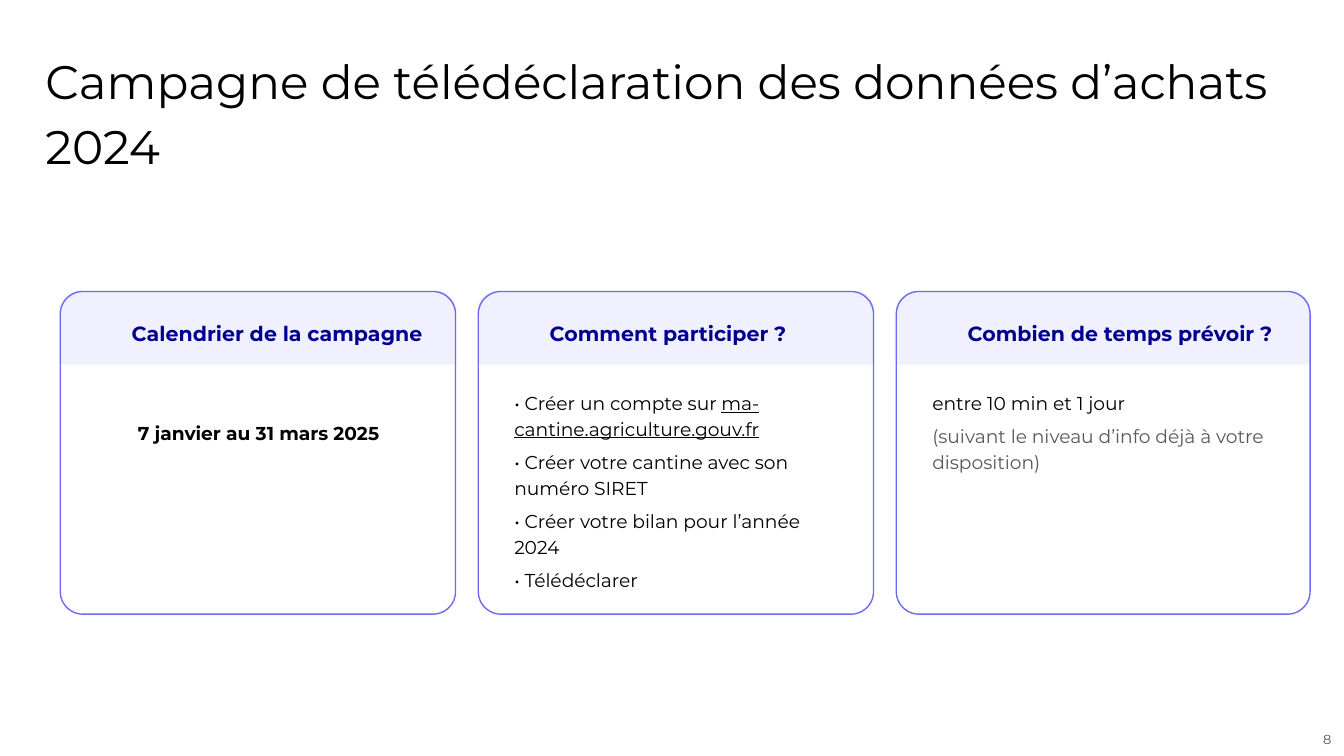
from pptx import Presentation
from pptx.dml.color import RGBColor
from pptx.enum.shapes import MSO_SHAPE
from pptx.enum.text import MSO_ANCHOR, PP_ALIGN
from pptx.util import Cm, Pt

ROUND, ROUND_TOP = MSO_SHAPE.ROUNDED_RECTANGLE, MSO_SHAPE.ROUND_2_SAME_RECTANGLE
TOP, MIDDLE = MSO_ANCHOR.TOP, MSO_ANCHOR.MIDDLE
LEFT, CENTER = PP_ALIGN.LEFT, PP_ALIGN.CENTER
BLACK, GREY, NAVY, VIOLET, LILAC = "000000", "595959", "000090", "6A6AF3", "F0F0FF"

CARD_LEFT, CARD_TOP, CARD_HEIGHT, GAP = 1.14, 5.51, 6.1, 0.43
BAND_HEIGHT = 1.37


def rgb(color):
    return RGBColor.from_string(color)


def add_text(box, paragraphs, size, color=BLACK, bold=False, align=LEFT,
             anchor=TOP, inset=0.25, spacing=1.15):
    """Add a text box at box (left, top, width, height in cm), one string per paragraph."""
    tf = s.shapes.add_textbox(*map(Cm, box)).text_frame
    tf.word_wrap = True
    tf.vertical_anchor = anchor
    tf.margin_left = tf.margin_right = tf.margin_top = tf.margin_bottom = Cm(inset)
    tf.text = "\n".join(paragraphs)
    for i, p in enumerate(tf.paragraphs):
        p.alignment = align
        p.line_spacing = spacing
        if i:
            p.space_before = Pt(4)
        for r in p.runs:
            r.font.name = "Montserrat"
            r.font.size = Pt(size)
            r.font.bold = bold
            r.font.color.rgb = rgb(color)
    return tf


prs = Presentation()
prs.slide_width, prs.slide_height = Cm(25.4), Cm(14.29)
s = prs.slides.add_slide(prs.slide_layouts[6])

add_text((0.61, 0.58, 24.16, 2.24),
         ["Campagne de télédéclaration des données d’achats 2024"], 25.2)

# Cards: heading, card width, heading width, corner of the heading band
cards = [
    ("Calendrier de la campagne", 7.47, 6.07, 0.26),
    ("Comment participer ?", 7.47, 5.87, 0.26),
    ("Combien de temps prévoir ?", 7.82, 6.99, 0.29),
]
left = CARD_LEFT
for heading, width, heading_width, corner in cards:
    band = s.shapes.add_shape(ROUND_TOP, Cm(left), Cm(CARD_TOP), Cm(width), Cm(BAND_HEIGHT))
    band.adjustments[0] = corner
    band.fill.solid()
    band.fill.fore_color.rgb = rgb(LILAC)
    frame = s.shapes.add_shape(ROUND, Cm(left), Cm(CARD_TOP), Cm(width), Cm(CARD_HEIGHT))
    frame.adjustments[0] = 0.07
    frame.fill.background()
    for sp, color in ((band, LILAC), (frame, VIOLET)):
        sp.shadow.inherit = False
        sp.line.color.rgb = rgb(color)
        sp.line.width = Pt(0.75)
    add_text((left + 1.1, 5.79, heading_width, 0.94), [heading], 11, NAVY,
             bold=True, anchor=MIDDLE)
    left += width + GAP

add_text((2.18, 7.67, 5.41, 0.94), ["7 janvier au 31 mars 2025"], 10, bold=True, align=CENTER)

steps = add_text((9.47, 7.09, 6.55, 4.32), [
    "• Créer un compte sur ",
    "• Créer votre cantine avec son numéro SIRET",
    "• Créer votre bilan pour l’année 2024",
    "• Télédéclarer",
], 10)
r = steps.paragraphs[0].add_run()
r.text = "ma-cantine.agriculture.gouv.fr"
r.font.name = "Montserrat"
r.font.size = Pt(10)
r.font.color.rgb = rgb(BLACK)
r.font.underline = True

duration = add_text((17.37, 7.09, 6.81, 2.06), [
    "entre 10 min et 1 jour",
    "(suivant le niveau d’info déjà à votre disposition)",
], 10)
duration.paragraphs[1].runs[0].font.color.rgb = rgb(GREY)

add_text((24.77, 13.69, 0.63, 0.58), ["8"], 7, GREY, align=CENTER, anchor=MIDDLE,
         inset=0, spacing=1.0)

prs.save("out.pptx")
